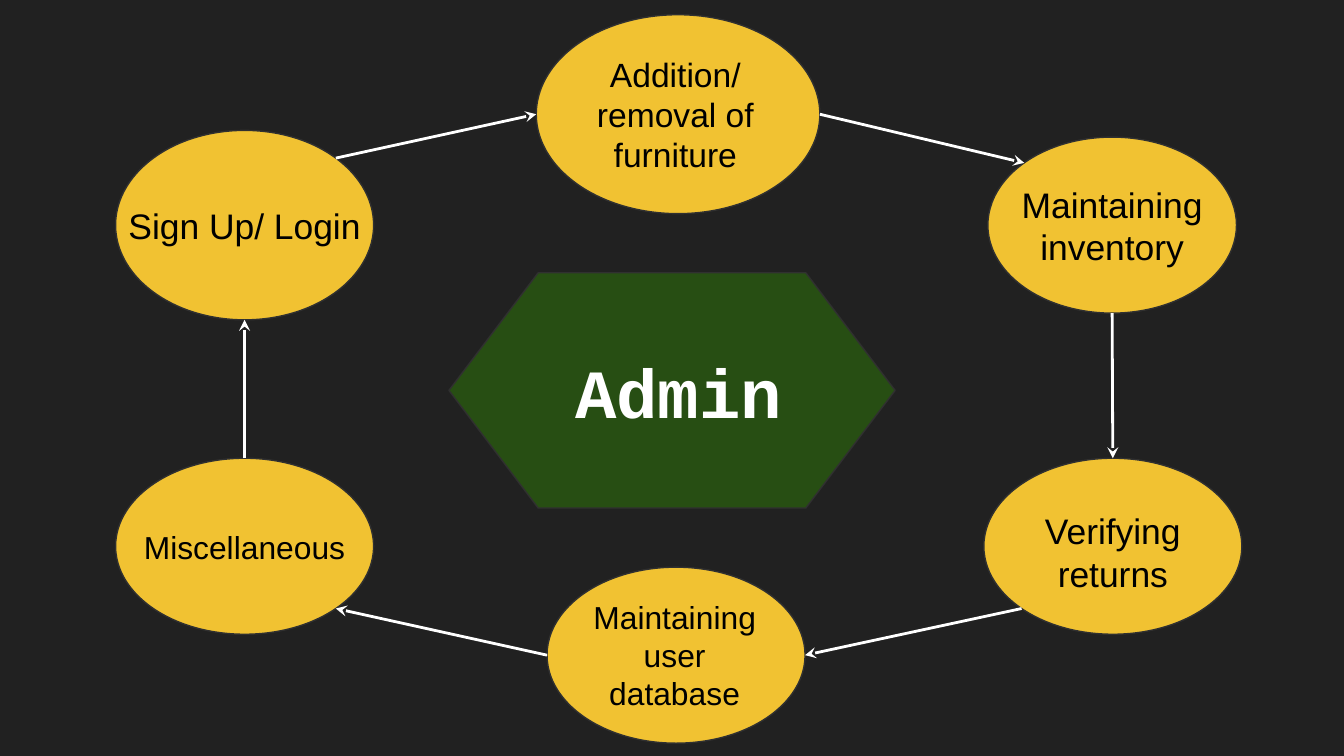
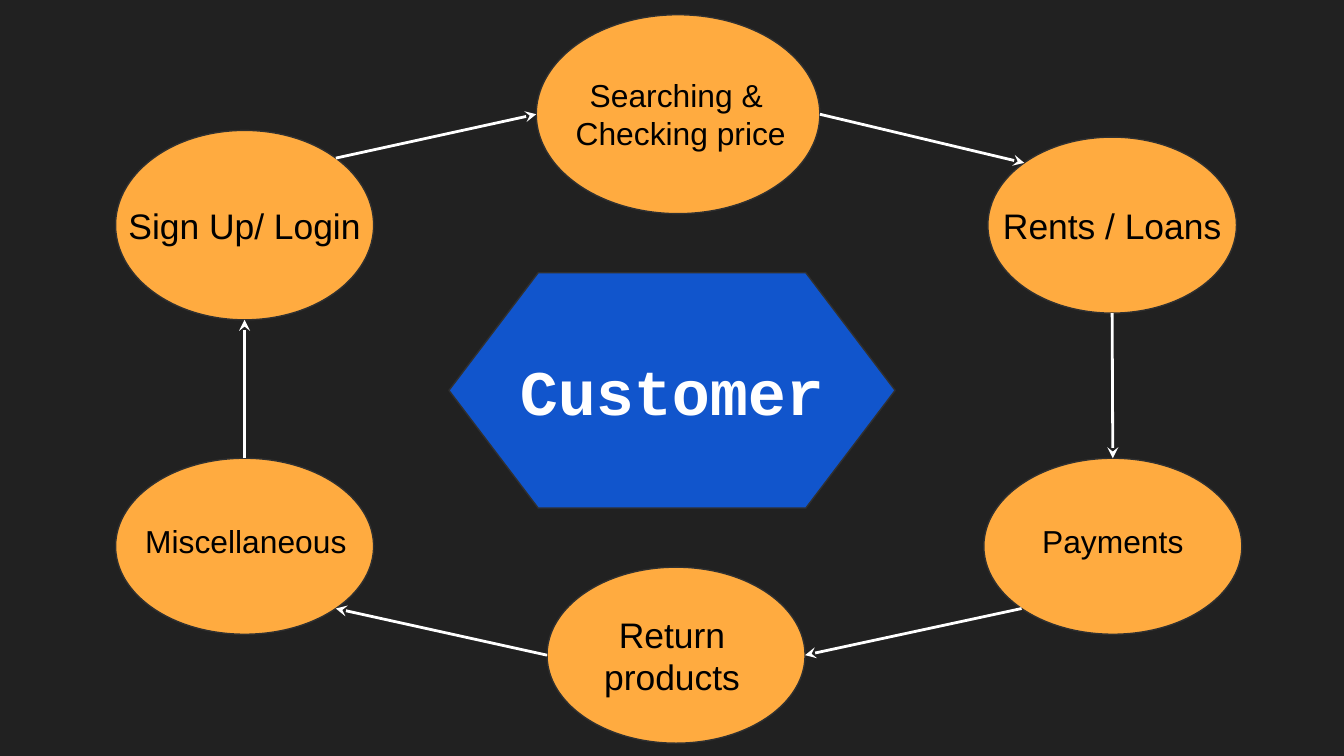
from math import copysign, sqrt

from lxml import etree
from pptx import Presentation
from pptx.dml.color import RGBColor
from pptx.enum.shapes import MSO_CONNECTOR, MSO_SHAPE
from pptx.enum.text import MSO_ANCHOR, MSO_AUTO_SIZE, PP_ALIGN
from pptx.oxml.ns import qn
from pptx.util import Inches, Pt

OVAL = MSO_SHAPE.OVAL
HEX = MSO_SHAPE.FLOWCHART_PREPARATION
LINE = MSO_CONNECTOR.STRAIGHT
CENTER = PP_ALIGN.CENTER
MIDDLE = MSO_ANCHOR.MIDDLE
GROW = MSO_AUTO_SIZE.SHAPE_TO_FIT_TEXT

WIDTH, HEIGHT = 10, 5.625
CELL = WIDTH / 100  # the grid has 100 columns of square cells
INSET = 0.1
DARK, EDGE, BLACK, WHITE = "212121", "303030", "000000", "FFFFFF"

# Boxes in grid cells: left, top, width, height
HUB = (33.4, 20.3, 33.2, 17.5)
NODES = {
    "login": (8.6, 9.7, 19.2, 14.1),
    "top": (39.9, 1.1, 21.1, 14.8),
    "right": (73.5, 10.2, 18.5, 13.1),
    "lower": (73.2, 34.1, 19.2, 13.1),
    "base": (40.7, 42.2, 19.2, 13.1),
    "misc": (8.6, 34.1, 19.2, 13.1),
}
# Each arrow leaves and enters an oval on the side given as (x, y)
ARROWS = [
    ("login", (1, -1), "top", (-1, 0)),
    ("top", (1, 0), "right", (-1, -1)),
    ("right", (0, 1), "lower", (0, -1)),
    ("lower", (-1, 1), "base", (1, 0)),
    ("base", (-1, 0), "misc", (1, 1)),
    ("misc", (0, -1), "login", (0, 1)),
]
# Labels: words, size, lines, box width in cells, shift from the centre
ADMIN = {
    "title": ("Admin", 37, 0.5),
    "hub": "274E13",
    "node": "F1C232",
    "labels": {
        "login": ("Sign Up/ Login", 19, 1, 19.7, (0, 0)),
        "top": ("Addition/ removal of furniture", 18, 3, 19.2, (-0.2, 0)),
        "right": ("Maintaining inventory", 19, 2, 19.7, (0, 0)),
        "lower": ("Verifying returns", 19, 2, 15.2, (0, 0.4)),
        "base": ("Maintaining user database", 17, 3, 15.2, (-0.1, 0)),
        "misc": ("Miscellaneous", 17, 1, 18.2, (0, 0)),
    },
}
CUSTOMER = {
    "title": ("Customer", 34, 0),
    "hub": "1155CC",
    "node": "FFAB40",
    "labels": {
        "login": ("Sign Up/ Login", 19, 1, 19.7, (0, 0)),
        "top": ("Searching & \nChecking price", 17, 2, 19.2, (0.2, 0)),
        "right": ("Rents / Loans", 19, 1, 19.7, (0, 0)),
        "lower": ("Payments", 17, 1, 15.2, (0, -0.4)),
        "base": ("Return products", 19, 2, 15.2, (-0.3, 0)),
        "misc": ("Miscellaneous", 17, 1, 18.2, (0.1, -0.4)),
    },
}


def color(code):
    return RGBColor.from_string(code)


def cells(*values):
    return [Inches(value * CELL) for value in values]


def middle(box):
    left, top, width, height = box
    return left + width / 2, top + height / 2


def rim(box, side):
    """Point where an oval's edge meets a side or a diagonal."""
    x, y = middle(box)
    reach = 1 / sqrt(abs(side[0]) + abs(side[1]))
    return x + side[0] * reach * box[2] / 2, y + side[1] * reach * box[3] / 2


def around(box, width, size, lines, shift):
    """Text box of a given number of lines, centred on box and shifted."""
    x, y = middle(box)
    height = (lines * size * 1.2 / 72 + 2 * INSET) / CELL
    return x + shift[0] - width / 2, y + shift[1] - height / 2, width, height


def write(shape, text, size, font="Arial", ink=BLACK, bold=False):
    frame = shape.text_frame
    frame.word_wrap = True
    frame.auto_size = GROW
    frame.vertical_anchor = MIDDLE
    frame.margin_left = frame.margin_right = Inches(INSET)
    frame.margin_top = frame.margin_bottom = Inches(INSET)
    frame.text = text
    for para in frame.paragraphs:
        para.alignment = CENTER
        for run in para.runs:
            run.font.name = font
            run.font.size = Pt(size)
            run.font.bold = bold
            run.font.color.rgb = color(ink)


def block(slide, kind, box, fill):
    shape = slide.shapes.add_shape(kind, *cells(*box))
    shape.shadow.inherit = False
    shape.fill.solid()
    shape.fill.fore_color.rgb = color(fill)
    shape.line.color.rgb = color(EDGE)
    shape.line.width = Pt(0.75)


def arrow(slide, start, end):
    link = slide.shapes.add_connector(LINE, *cells(*start, *end))
    link.line.color.rgb = color(WHITE)
    link.line.width = Pt(1.5)
    props = link._element.spPr
    etree.SubElement(props.find(qn("a:ln")), qn("a:tailEnd"), type="stealth")
    etree.SubElement(props, qn("a:effectLst"))


def hub(slide, box, fill, text, size, shift):
    block(slide, HEX, box, fill)
    title = slide.shapes.title
    place = around(box, 29.8, size, 1, (shift, 0))
    title.left, title.top, title.width, title.height = cells(*place)
    write(title, text, size, font="Courier New", ink=WHITE, bold=True)
    slide.shapes._spTree.append(title._element)  # in front of the hexagon


def node(slide, box, fill, text, size, lines, width, shift):
    block(slide, OVAL, box, fill)
    place = around(box, width, size, lines, shift)
    write(slide.shapes.add_textbox(*cells(*place)), text, size)


def cycle(deck, role):
    slide = deck.slides.add_slide(deck.slide_layouts[5])
    hub(slide, HUB, role["hub"], *role["title"])
    for name, box in NODES.items():
        node(slide, box, role["node"], *role["labels"][name])
    for tail, out, head, into in ARROWS:
        arrow(slide, rim(NODES[tail], out), rim(NODES[head], into))


def main():
    deck = Presentation()
    deck.slide_width, deck.slide_height = Inches(WIDTH), Inches(HEIGHT)
    back = deck.slide_master.background.fill
    back.solid()
    back.fore_color.rgb = color(DARK)
    for role in (ADMIN, CUSTOMER):
        cycle(deck, role)
    deck.save("out.pptx")


if __name__ == "__main__":
    main()
